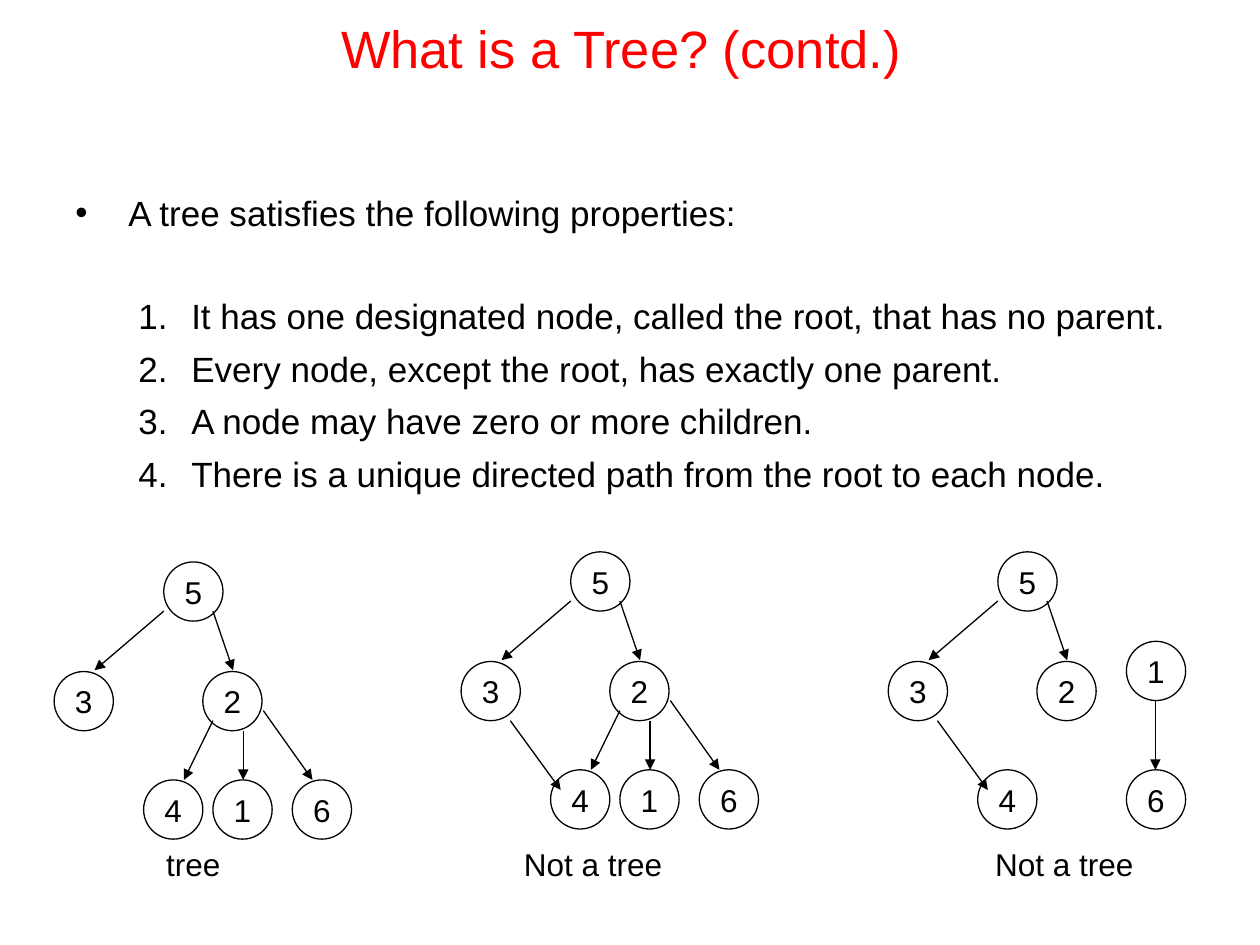
"""Build the slide that contrasts a tree with two graphs that are not trees."""
from lxml import etree
from pptx import Presentation
from pptx.dml.color import RGBColor
from pptx.enum.shapes import MSO_CONNECTOR, MSO_SHAPE
from pptx.enum.text import MSO_ANCHOR, PP_ALIGN
from pptx.oxml.ns import qn
from pptx.util import Inches, Pt

LEFT, CENTER = PP_ALIGN.LEFT, PP_ALIGN.CENTER
TOP, MIDDLE = MSO_ANCHOR.TOP, MSO_ANCHOR.MIDDLE
OVAL, STRAIGHT = MSO_SHAPE.OVAL, MSO_CONNECTOR.STRAIGHT

THEME = {
    "ink": RGBColor(0x00, 0x00, 0x00),
    "title_color": RGBColor(0xFF, 0x00, 0x00),
    "font": "Arial",
    "title": Pt(30),
    "body": Pt(20),
    "label": Pt(18),
    "line": Pt(0.75),
}

TITLE = "What is a Tree? (contd.)"
LEAD = "A tree satisfies the following properties:"
PROPERTIES = [
    "It has one designated node, called the root, that has no parent.",
    "Every node, except the root, has exactly one parent.",
    "A node may have zero or more children.",
    "There is a unique directed path from the root to each node.",
]

NODE = 0.47
NODES = {"5": (0.87, 0), "3": (0, 0.87), "2": (1.18, 0.87),
         "4": (0.71, 1.73), "1": (1.26, 1.73), "6": (1.89, 1.73)}
EDGES = {
    "5-2": (1.26, 0.39, 1.42, 0.86),
    "5-3": (0.87, 0.39, 0.32, 0.86),
    "2-4": (1.26, 1.26, 1.03, 1.73),
    "2-1": (1.5, 1.34, 1.5, 1.73),
    "2-6": (1.66, 1.18, 2.05, 1.73),
    "3-4": (0.39, 1.34, 0.79, 1.89),
    "1-6": (2.12, 1.18, 2.12, 1.73),
}
GRAPHS = [
    {"at": (0.43, 4.46), "caption": "tree", "caption_x": 1.22, "moved": {},
     "edges": ["5-2", "5-3", "2-4", "2-1", "2-6"]},
    {"at": (3.66, 4.38), "caption": "Not a tree", "caption_x": 4.06, "moved": {},
     "edges": ["5-2", "5-3", "2-4", "2-1", "2-6", "3-4"]},
    {"at": (7.05, 4.38), "caption": "Not a tree", "caption_x": 7.8,
     "moved": {"1": (1.89, 0.71)}, "edges": ["5-2", "5-3", "3-4", "1-6"]},
]


def apply(obj, **values):
    for name, value in values.items():
        setattr(obj, name, value)


def write(p, text, size, color=THEME["ink"], align=LEFT):
    p.alignment = align
    r = p.add_run()
    r.text = text
    apply(r.font, name=THEME["font"], size=size)
    r.font.color.rgb = color


def add_text(s, box, text, size, color=THEME["ink"], align=LEFT, anchor=TOP):
    tf = s.shapes.add_textbox(*map(Inches, box)).text_frame
    apply(tf, word_wrap=True, vertical_anchor=anchor)
    write(tf.paragraphs[0], text, size, color, align)
    return tf


def add_bullet(p, tag, margin, **attrs):
    pPr = p._p.get_or_add_pPr()
    pPr.set("marL", str(Inches(margin)))
    pPr.set("indent", str(Inches(-0.42)))
    etree.SubElement(pPr, qn("a:buFont"), typeface=THEME["font"])
    etree.SubElement(pPr, qn(tag), **attrs)


def add_properties(s):
    tf = add_text(s, (0.5, 1.47, 9, 2.7), LEAD, THEME["body"])
    add_bullet(tf.paragraphs[0], "a:buChar", 0.42, char="•")
    for i, text in enumerate(PROPERTIES):
        p = tf.add_paragraph()
        apply(p, level=1, space_before=Pt(6 if i else 35))
        write(p, text, THEME["body"])
        add_bullet(p, "a:buAutoNum", 0.92, type="arabicPeriod")


def add_node(shapes, x, y, label):
    sp = shapes.add_shape(OVAL, *map(Inches, (x, y, NODE, NODE)))
    sp.shadow.inherit = False
    sp.fill.background()
    sp.line.color.rgb = THEME["ink"]
    sp.line.width = THEME["line"]
    tf = sp.text_frame
    apply(tf, word_wrap=False, vertical_anchor=MIDDLE)
    write(tf.paragraphs[0], label, THEME["label"], align=CENTER)


def add_arrow(shapes, *ends):
    c = shapes.add_connector(STRAIGHT, *map(Inches, ends))
    c.line.color.rgb = THEME["ink"]
    c.line.width = THEME["line"]
    etree.SubElement(c.line._get_or_add_ln(), qn("a:tailEnd"), type="triangle")
    etree.SubElement(c._element.spPr, qn("a:effectLst"))


def add_graph(s, graph):
    x, y = graph["at"]
    shapes = s.shapes.add_group_shape().shapes
    used = {label for edge in graph["edges"] for label in edge.split("-")}
    for label, (dx, dy) in {**NODES, **graph["moved"]}.items():
        if label in used:
            add_node(shapes, x + dx, y + dy, label)
    for edge in graph["edges"]:
        x1, y1, x2, y2 = EDGES[edge]
        add_arrow(shapes, x + x1, y + y1, x + x2, y + y2)
    add_text(s, (graph["caption_x"], 6.66, 2.2, 0.4), graph["caption"], THEME["label"])


def main():
    prs = Presentation()
    apply(prs, slide_width=Inches(10), slide_height=Inches(7.5))
    s = prs.slides.add_slide(prs.slide_layouts[6])
    add_text(s, (0.43, 0, 9, 0.76), TITLE, THEME["title"],
             THEME["title_color"], CENTER, MIDDLE)
    add_properties(s)
    for graph in GRAPHS:
        add_graph(s, graph)
    prs.save("out.pptx")


if __name__ == "__main__":
    main()
